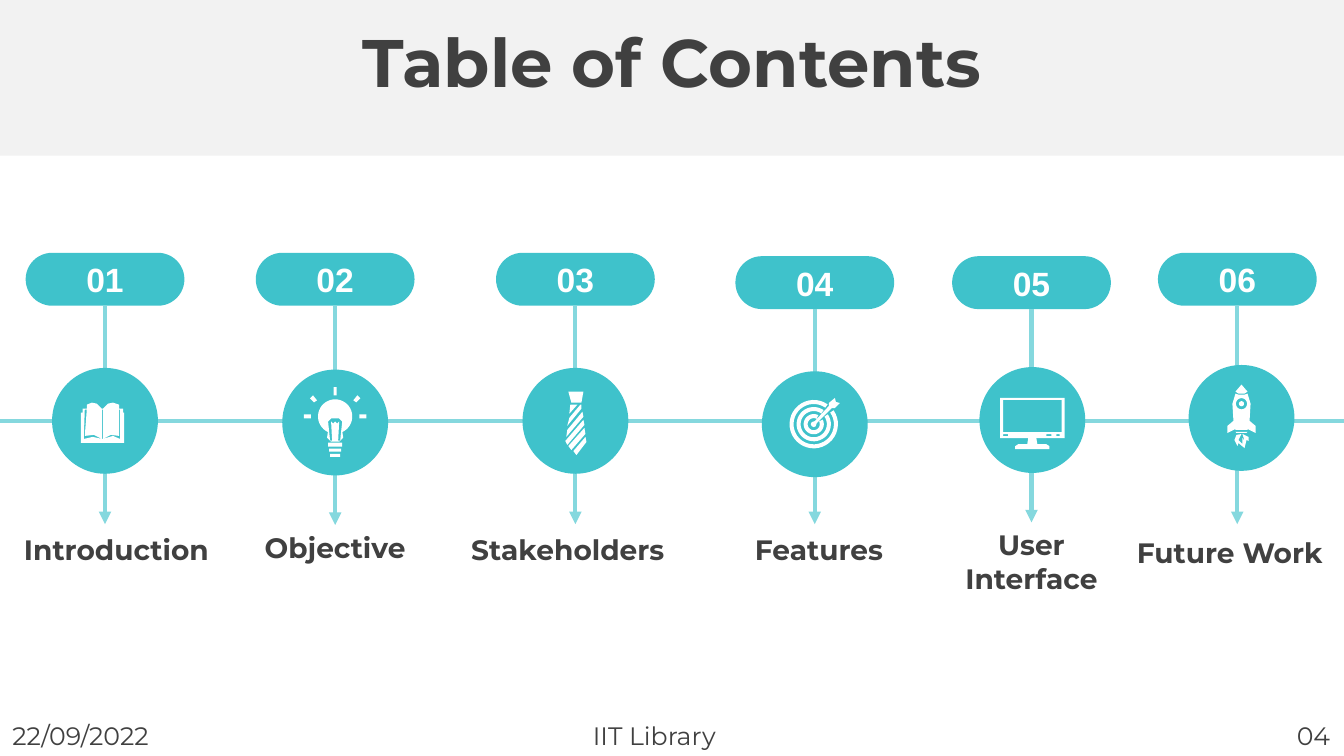
from dataclasses import dataclass
from math import cos, radians, sin

from lxml.etree import SubElement
from pptx import Presentation
from pptx.dml.color import RGBColor
from pptx.enum.shapes import MSO_CONNECTOR, MSO_SHAPE
from pptx.enum.text import MSO_ANCHOR, MSO_AUTO_SIZE, PP_ALIGN
from pptx.oxml.ns import qn
from pptx.util import Emu, Pt

COLS, ROWS = 160, 90


@dataclass(frozen=True)
class Theme:
    teal: str = "3FC2CB"
    pale: str = "85D8DE"
    ink: str = "404040"
    grey: str = "F2F2F2"
    white: str = "FFFFFF"
    main: str = "Montserrat"
    digit: str = "Arial"
    title: int = 48
    number: int = 24
    label: int = 20
    foot: int = 18
    stroke: int = 3


def arc(x, y, size, start, end, steps=36):
    turns = [radians(start + (end - start) * i / steps) for i in range(steps + 1)]
    return [(x + size * cos(a), y + size * sin(a)) for a in turns]


def ring(x, y, big, small, gap):
    start, end = gap - 45, 315 - gap
    return arc(x, y, big, start, end) + arc(x, y, small, end, start)


def box(left, top, right, bottom):
    return [(left, top), (right, top), (right, bottom), (left, bottom)]


def flip(points):
    return [(-x, y) for x, y in points]


RAY = [(18, -22), (22, -27), (25, -24), (21, -20)]
SIDE = box(24, -8, 31, -4)

BOOK = [
    [(-24, -8), (-22, -8), (-22, -12), (-18, -12), (-18, -16), (-13, -18), (-8, -17), (-3, -12),
     (-2, -12), (3, -17), (8, -18), (14, -16), (14, -12), (18, -12), (18, -8), (19, -8),
     (19, 22), (-24, 22)],
    [(-3, 18), (-11, 14), (-20, 15), (-18, -11), (-20, -11), (-21, 18), (-12, 16)],
    [(-2, 18), (8, 15), (15, 18), (15, -11), (14, -11), (14, 15), (6, 14)],
    box(-3, -11, -2, 18),
]
BULB = [
    arc(0, -6, 17, 115, 425) + [(8, 15), (4, 19), (-4, 19), (-8, 15)],
    [(-5, 18), (-7, -1), (-4, -4), (4, -4), (7, -1), (5, 18), (3, 18), (4, -1),
     (2, 1), (0, -1), (-2, 1), (-4, -1), (-3, 18)],
    box(-7, 20, 7, 24), box(-6, 26, 6, 29), box(-5, 31, 5, 34),
    box(-1.5, -35, 1.5, -27), RAY, flip(RAY), SIDE, flip(SIDE),
]
TIE = [
    [(-7, -29), (8, -29), (6, -18), (-4, -18)],
    [(-5, -16), (2, -16), (-6, -7)],
    [(5, -16), (6, -16), (6, -12), (-8, 5), (-6, -3)],
    [(7, -9), (8, -4), (-9, 16), (-8, 9)],
    [(8, -1), (9, 4), (-8, 24), (-10, 20)],
    [(9, 7), (10, 13), (-4, 29), (-7, 25)],
    [(10, 16), (11, 21), (1, 34), (-2, 30)],
]
TARGET = [
    ring(-1, 0, 24, 20, 10), ring(-1, 0, 17, 13, 10), ring(-1, 0, 10, 6, 18),
    [(20, -26), (21, -22), (25, -21), (20, -16), (17, -16), (2, -1), (1, 2), (-1, 3),
     (-3, 2), (-4, 0), (-3, -2), (0, -3), (14, -18), (14, -21)],
]
SCREEN = [
    [(-32, -22), (32, -22), (32, 18), (4, 18), (5, 24), (14, 24), (17, 26), (17, 29),
     (-17, 29), (-17, 26), (-14, 24), (-5, 24), (-4, 18), (-32, 18)],
    box(-29, -20, 29, 12), box(-29, 14, -24, 16), box(14, 14, 19, 16), box(24, 14, 27, 16),
]
ROCKET = [
    [(0, -33), (6, -26), (3, -24), (-3, -24), (-6, -26)],
    [(-6, -24), (-3, -23), (3, -23), (6, -24), (9, -14), (8, 3), (14, 8), (14, 15), (6, 11),
     (6, 12), (-6, 12), (-6, 11), (-14, 15), (-14, 8), (-8, 3), (-9, -14)],
    arc(0, -14, 5.5, 0, 360), arc(0, -14, 2.5, 0, 360),
    [(-6, 14), (6, 14), (5, 15), (-5, 15)],
    [(0, 16), (-3, 22), (1, 26), (1, 20), (3, 23), (1, 16), (7, 19), (7, 23), (5, 22),
     (3, 30), (-3, 25), (-4, 28), (-7, 22), (-5, 17)],
]


class Board:
    def __init__(self, deck, theme):
        self.theme = theme
        self.unit = deck.slide_width / COLS
        self.slide = deck.slides.add_slide(deck.slide_layouts[5])
        self.shapes = self.slide.shapes

    def grid(self, *spans):
        return [Emu(round(span * self.unit)) for span in spans]

    def paint(self, shape, color):
        shape.shadow.inherit = False
        shape.fill.solid()
        shape.fill.fore_color.rgb = RGBColor.from_string(color)
        shape.line.fill.background()
        return shape

    def block(self, kind, place, color):
        return self.paint(self.shapes.add_shape(kind, *self.grid(*place)), color)

    def letter(self, shape, text, size, align=PP_ALIGN.CENTER, anchor=MSO_ANCHOR.MIDDLE,
               color=None, face=None, bold=True):
        frame = shape.text_frame
        frame.text = text
        look = {"word_wrap": True, "auto_size": MSO_AUTO_SIZE.NONE, "vertical_anchor": anchor}
        for name, value in look.items():
            setattr(frame, name, value)
        line = frame.paragraphs[0]
        line.alignment = align
        font = line.runs[0].font
        for name, value in {"size": Pt(size), "name": face or self.theme.main, "bold": bold}.items():
            setattr(font, name, value)
        font.color.rgb = RGBColor.from_string(color or self.theme.ink)
        return shape

    def text(self, place, text, size, **style):
        return self.letter(self.shapes.add_textbox(*self.grid(*place)), text, size, **style)

    def header(self, place, text, depth):
        band = self.block(MSO_SHAPE.RECTANGLE, (0, 0, COLS, depth), self.theme.grey)
        title = self.shapes.title
        title._element.addprevious(band._element)
        for name, value in zip(("left", "top", "width", "height"), self.grid(*place)):
            setattr(title, name, value)
        self.letter(title, text, self.theme.title)

    def line(self, start, end, arrow=False):
        link = self.shapes.add_connector(MSO_CONNECTOR.STRAIGHT, *self.grid(*start, *end))
        link.line.color.rgb = RGBColor.from_string(self.theme.pale)
        link.line.width = Pt(self.theme.stroke)
        if arrow:
            SubElement(link._element.spPr.get_or_add_ln(), qn("a:tailEnd"), type="triangle")
        SubElement(link._element.spPr, qn("a:effectLst"))
        return link

    def icon(self, x, y, scale, outlines):
        spots = [[self.grid(x + a * scale, y + b * scale) for a, b in line] for line in outlines]
        pen = self.shapes.build_freeform(*spots[0][0])
        for i, line in enumerate(spots):
            if i:
                pen.move_to(*line[0])
            pen.add_line_segments(line[1:], close=True)
        self.paint(pen.convert_to_shape(), self.theme.white)

    def step(self, number, x, top, hub, disc, text, mid, base, wide, tall, icon):
        theme, width, depth, size = self.theme, 18.9, 6.3, 12.6
        pill = self.block(MSO_SHAPE.ROUNDED_RECTANGLE, (x - width / 2, top, width, depth), theme.teal)
        pill.adjustments[0] = 0.5
        self.letter(pill, f"{number:02}", theme.number, color=theme.white, face=theme.digit)
        label = self.text((mid - wide / 2, base, wide, tall), text, theme.label)
        stem = self.line((x, top + depth), (x, 62.4), arrow=True)
        stem.begin_connect(pill, 2)
        if mid == x:
            stem.end_connect(label, 0)
        self.block(MSO_SHAPE.OVAL, (hub - size / 2, disc - size / 2, size, size), theme.teal)
        self.icon(hub, disc, size / 105, icon)


STEPS = [
    (12.5, 30.1, 12.5, 50.1, "Introduction", 13.86, 62.75, 27, 5.3, BOOK),
    (39.9, 30.1, 39.9, 50.3, "Objective", 39.9, 62.5, 26.2, 5.3, BULB),
    (68.5, 30.1, 68.5, 50.1, "Stakeholders", 67.6, 62.75, 31.1, 5.3, TIE),
    (97, 30.5, 97, 50.5, "Features", 97.5, 62.75, 31.1, 5.3, TARGET),
    (122.8, 30.5, 122.9, 50, "User Interface", 122.8, 62.2, 20.5, 9.2, SCREEN),
    (147.3, 30.1, 147.8, 49.75, "Future Work", 146.4, 63.1, 27.4, 5.3, ROCKET),
]
FOOTER = [(0.3, 21, "22/09/2022"), (69.4, 21, "IIT Library"), (153.2, 6.8, "04")]


def main():
    deck = Presentation()
    deck.slide_width, deck.slide_height = Emu(12192000), Emu(12192000 * ROWS // COLS)
    board = Board(deck, Theme())
    board.header((0, 2.2, COLS, 10.1), "Table of Contents", 18.55)
    board.line((0, 50.1), (COLS, 50.1))
    for number, step in enumerate(STEPS, 1):
        board.step(number, *step)
    for left, width, text in FOOTER:
        board.text((left, 85.2, width, 4.8), text, board.theme.foot,
                   align=PP_ALIGN.LEFT, anchor=MSO_ANCHOR.TOP, bold=False)
    deck.save("out.pptx")


if __name__ == "__main__":
    main()
